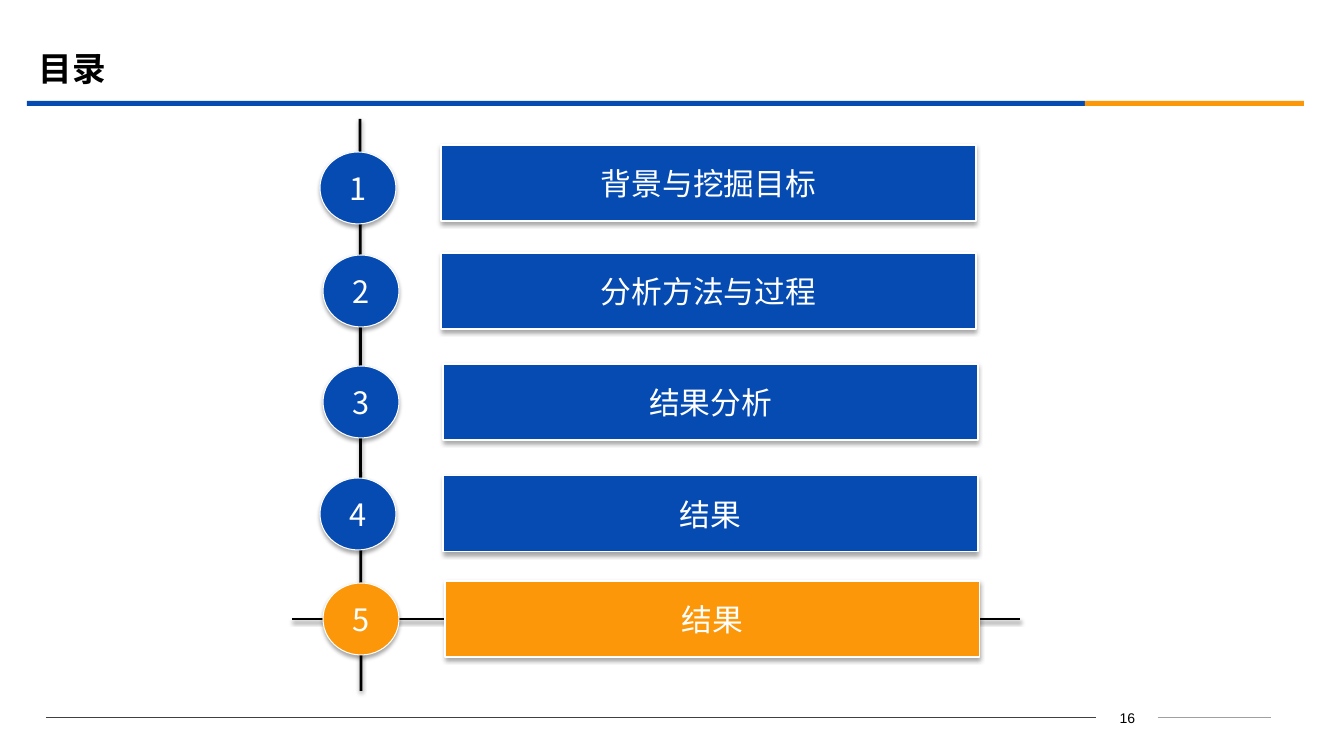
from dataclasses import dataclass

from lxml import etree
from pptx import Presentation
from pptx import util as u
from pptx.dml.color import RGBColor
from pptx.enum import shapes, text
from pptx.oxml.ns import qn

PX = 914400 / 100.8


@dataclass(frozen=True)
class Theme:
    blue: str = "064BB2"
    orange: str = "FB9708"
    black: str = "000000"
    white: str = "FFFFFF"
    dark_rule: str = "404040"
    light_rule: str = "A0A0A0"
    han_font: str = "Noto Sans CJK SC"
    number_font: str = "Arial"
    title_size: int = 24
    item_size: int = 22
    number_size: int = 10
    axis_width: float = 2
    thin_width: float = 0.75


@dataclass(frozen=True)
class Frame:
    left: int
    top: int
    width: int
    height: int

    def emu(self) -> list[u.Emu]:
        return [px(n) for n in (self.left, self.top, self.width, self.height)]


@dataclass(frozen=True)
class Rule:
    start: tuple[int, int]
    end: tuple[int, int]
    color: str
    width: float
    shaded: bool = False


@dataclass(frozen=True)
class Entry:
    title: str
    circle_left: int
    circle_top: int
    bar_left: int
    bar_top: int
    color: str


THEME = Theme()
CIRCLE_SIZE = (76, 72)
BAR_SIZE = (535, 76)

FOOTER_RULES = [
    Rule((1158, 718), (1271, 718), THEME.light_rule, THEME.thin_width),
    Rule((46, 718), (1096, 718), THEME.dark_rule, THEME.thin_width),
]
AXES = [
    Rule((360, 119), (361, 691), THEME.black, THEME.axis_width, shaded=True),
    Rule((292, 619), (1020, 619), THEME.black, THEME.axis_width, shaded=True),
]
TITLE_BANDS = [
    (Frame(27, 101, 1058, 5), THEME.blue),
    (Frame(1085, 101, 219, 5), THEME.orange),
]
ENTRIES = [
    Entry("背景与挖掘目标", 320, 152, 441, 145, THEME.blue),
    Entry("分析方法与过程", 323, 255, 441, 253, THEME.blue),
    Entry("结果分析", 323, 366, 443, 364, THEME.blue),
    Entry("结果", 320, 478, 443, 476, THEME.blue),
    Entry("结果", 323, 583, 445, 581, THEME.orange),
]


def px(count: int) -> u.Emu:
    return u.Emu(round(count * PX))


def rgb(color: str) -> RGBColor:
    return RGBColor.from_string(color)


def add_shadow(effects, distance: float, opacity: int) -> None:
    """Put a soft black shadow straight below into an effect list."""
    shadow = etree.SubElement(
        effects, qn("a:outerShdw"), blurRad=str(u.Pt(3.1)),
        dist=str(u.Pt(distance)), dir="5400000", rotWithShape="0")
    black = etree.SubElement(shadow, qn("a:srgbClr"), val=THEME.black)
    etree.SubElement(black, qn("a:alpha"), val=str(opacity * 1000))


def write(shape, content: str, *, size: int, color: str, font: str = THEME.han_font,
          bold: bool = False, wrap: bool = False,
          align=text.PP_ALIGN.CENTER) -> None:
    frame = shape.text_frame
    frame.word_wrap = wrap
    frame.vertical_anchor = text.MSO_ANCHOR.MIDDLE
    para = frame.paragraphs[0]
    para.alignment = align
    span = para.add_run()
    span.text = content
    span.font.size = u.Pt(size)
    span.font.bold = bold
    span.font.color.rgb = rgb(color)
    span.font.name = font
    etree.SubElement(span.font._element, qn("a:ea"), typeface=font)


def add_rule(page, rule: Rule) -> None:
    ends = [px(n) for n in (*rule.start, *rule.end)]
    line = page.shapes.add_connector(shapes.MSO_CONNECTOR.STRAIGHT, *ends)
    line.line.color.rgb = rgb(rule.color)
    line.line.width = u.Pt(rule.width)
    effects = etree.SubElement(line._element.spPr, qn("a:effectLst"))
    if rule.shaded:
        add_shadow(effects, 1.6, 38)


def add_block(page, kind, frame: Frame, color: str):
    box = page.shapes.add_shape(kind, *frame.emu())
    box.fill.solid()
    box.fill.fore_color.rgb = rgb(color)
    box.line.fill.background()
    box.shadow.inherit = False
    return box


def add_item(page, kind, frame: Frame, color: str, content: str) -> None:
    """Add a white-edged, shaded block with its label."""
    box = add_block(page, kind, frame, color)
    box.line.color.rgb = rgb(THEME.white)
    box.line.width = u.Pt(THEME.thin_width)
    add_shadow(box._element.spPr.find(qn("a:effectLst")), 1.8, 35)
    write(box, content, size=THEME.item_size, color=THEME.white)


def add_entry(page, number: int, entry: Entry) -> None:
    bar = Frame(entry.bar_left, entry.bar_top, *BAR_SIZE)
    circle = Frame(entry.circle_left, entry.circle_top, *CIRCLE_SIZE)
    add_item(page, shapes.MSO_SHAPE.ACTION_BUTTON_CUSTOM, bar, entry.color, entry.title)
    add_item(page, shapes.MSO_SHAPE.OVAL, circle, entry.color, str(number))


def main() -> None:
    deck = Presentation()
    deck.slide_width, deck.slide_height = px(1344), px(756)
    page = deck.slides.add_slide(deck.slide_layouts[6])

    page_number = page.shapes.add_textbox(*Frame(1096, 705, 63, 25).emu())
    write(page_number, "16", size=THEME.number_size, color=THEME.black,
          font=THEME.number_font, wrap=True)
    for rule in FOOTER_RULES:
        add_rule(page, rule)
    for frame, color in TITLE_BANDS:
        add_block(page, shapes.MSO_SHAPE.RECTANGLE, frame, color)
    title = page.shapes.add_textbox(*Frame(29, 39, 1210, 59).emu())
    write(title, "目录", size=THEME.title_size, color=THEME.black, bold=True,
          wrap=True, align=text.PP_ALIGN.LEFT)

    for axis in AXES:
        add_rule(page, axis)
    for number, entry in enumerate(ENTRIES, start=1):
        add_entry(page, number, entry)
    deck.save("out.pptx")


if __name__ == "__main__":
    main()
